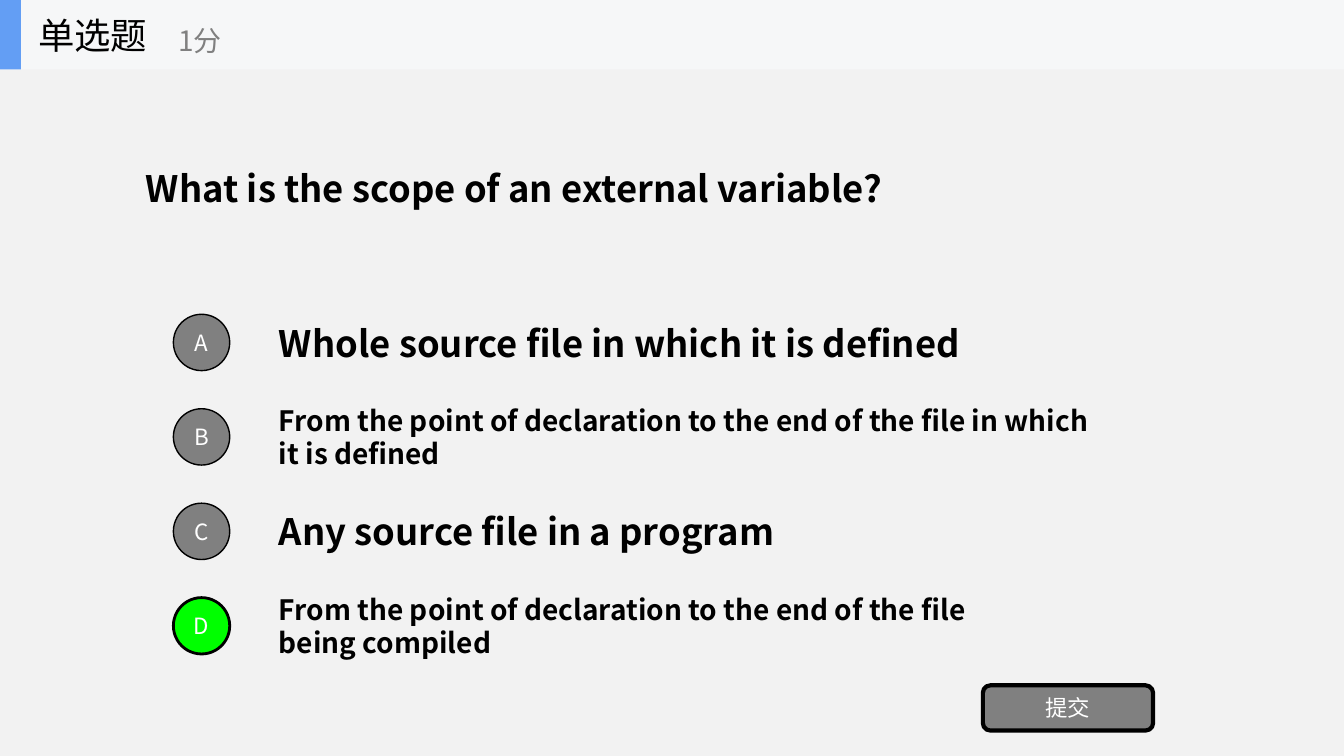
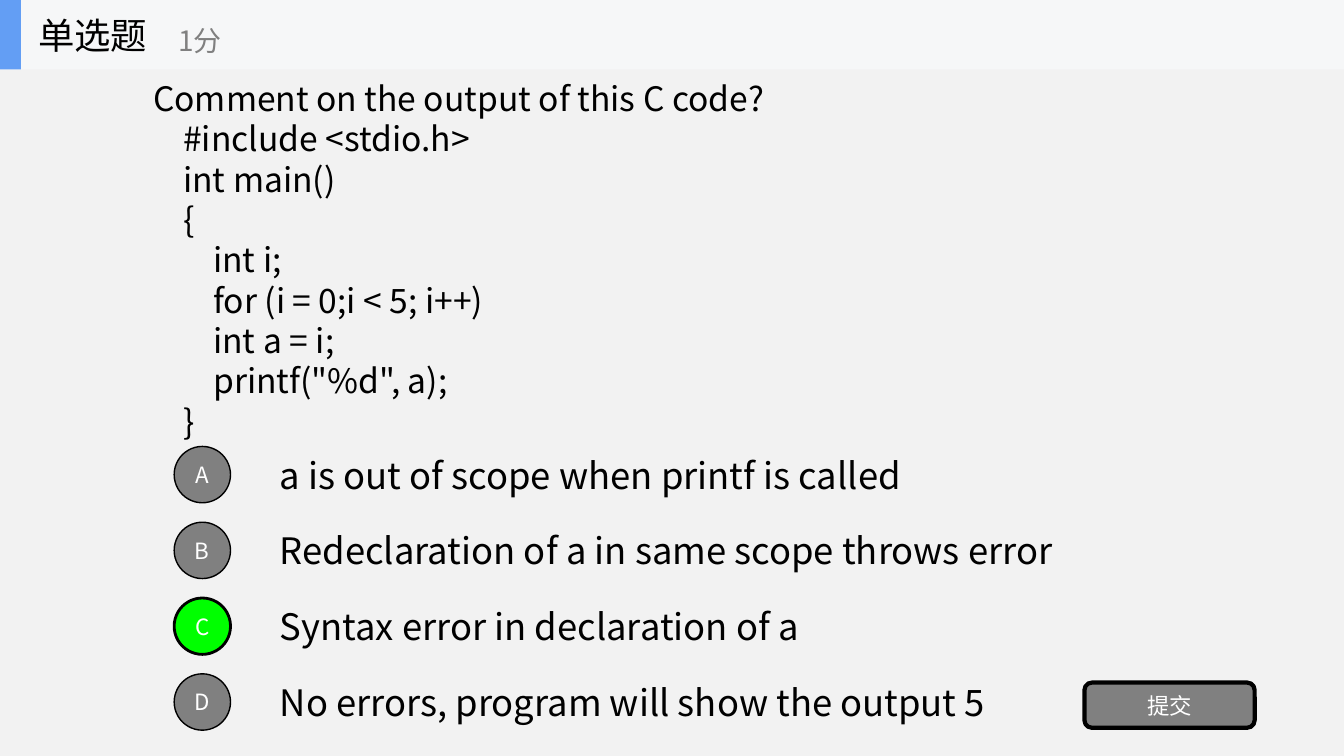
from dataclasses import dataclass

from pptx import Presentation
from pptx.dml.color import RGBColor
from pptx.enum.shapes import MSO_SHAPE
from pptx.enum.text import MSO_ANCHOR, PP_ALIGN
from pptx.oxml.ns import qn
from pptx.util import Cm, Pt


@dataclass(frozen=True)
class Theme:
    font: str = "Noto Sans CJK SC"
    page: str = "F2F2F2"
    band: str = "F6F7F8"
    accent: str = "639EF4"
    ink: str = "000000"
    muted: str = "808080"
    correct: str = "00FF00"
    on_dark: str = "FFFFFF"
    large: int = 26
    code: int = 24
    medium: int = 20
    small: int = 16


THEME = Theme()
PAGE_WIDTH, PAGE_HEIGHT = 33.87, 19.05
BADGE_SIZE = 1.42
ANSWER_OFFSET = 2.41


@dataclass(frozen=True)
class Answer:
    text: str
    width: float
    size: int = THEME.large


# Text and shape helpers; every box is (left, top, width, height) in cm
def write(shape, text, size, color=THEME.ink, bold=False, align=PP_ALIGN.LEFT):
    frame = shape.text_frame
    frame.word_wrap = True
    frame.vertical_anchor = MSO_ANCHOR.MIDDLE
    frame.text = text
    for paragraph in frame.paragraphs:
        paragraph.alignment = align
        for run in paragraph.runs:
            font = run.font
            font.name, font.size, font.bold = THEME.font, Pt(size), bold
            font.color.rgb = RGBColor.from_string(color)
            east_asian = run._r.get_or_add_rPr().makeelement(
                qn("a:ea"), {"typeface": THEME.font})
            run._r.rPr.find(qn("a:latin")).addnext(east_asian)


def add_text(shapes, box, text, size, **style):
    write(shapes.add_textbox(*map(Cm, box)), text, size, **style)


def add_filled(shapes, kind, box, fill, outline=0):
    shape = shapes.add_shape(kind, *map(Cm, box))
    shape.shadow.inherit = False
    shape.fill.solid()
    shape.fill.fore_color.rgb = RGBColor.from_string(fill)
    if outline:
        shape.line.color.rgb = RGBColor.from_string(THEME.ink)
        shape.line.width = Pt(outline)
    else:
        shape.line.fill.background()
    return shape


# Header band with question type and score
def add_header(slide, box):
    left, top, width, height = box
    header = slide.shapes.add_group_shape().shapes
    add_filled(header, MSO_SHAPE.RECTANGLE, box, THEME.band)
    add_filled(header, MSO_SHAPE.RECTANGLE, (left, top, 0.53, height), THEME.accent)
    add_text(header, (left + 0.71, top, 5.28, height), "单选题", THEME.large)
    add_text(header, (left + 4.24, top + 0.3, 6.35, height - 0.33), "1分",
             THEME.medium, color=THEME.muted)


# Lettered answers, evenly spaced from the first badge
def add_answers(slide, left, top, pitch, answers, correct, bold):
    for index, answer in enumerate(answers):
        letter = "ABCD"[index]
        is_correct = letter == correct
        badge_top = top + index * pitch
        height = 1.96 if answer.size == THEME.medium else 1.37
        answer_top = badge_top + (BADGE_SIZE - height) / 2
        add_text(slide.shapes, (left + ANSWER_OFFSET, answer_top, answer.width, height),
                 answer.text, answer.size, bold=bold)
        badge = add_filled(slide.shapes, MSO_SHAPE.OVAL,
                           (left, badge_top, BADGE_SIZE, BADGE_SIZE),
                           THEME.correct if is_correct else THEME.muted,
                           outline=2 if is_correct else 1)
        write(badge, letter, THEME.small, THEME.on_dark, align=PP_ALIGN.CENTER)


# Submit button
def add_submit(slide, left, top):
    button = add_filled(slide.shapes, MSO_SHAPE.ROUNDED_RECTANGLE,
                        (left, top, 4.29, 1.14), THEME.muted, outline=3)
    write(button, "提交", THEME.small, THEME.on_dark, align=PP_ALIGN.CENTER)


def add_question_slide(deck, question, question_box, question_size, answers,
                       answers_at, pitch, correct, submit_at, bold=False):
    slide = deck.slides.add_slide(deck.slide_layouts[6])
    add_text(slide.shapes, question_box, question, question_size, bold=bold)
    add_answers(slide, *answers_at, pitch, answers, correct, bold)
    add_submit(slide, *submit_at)
    add_header(slide, (0, 0, PAGE_WIDTH, 1.75))


CODE_QUESTION = """Comment on the output of this C code?
    #include <stdio.h>
    int main()
    {
        int i;
        for (i = 0;i < 5; i++)
        int a = i;
        printf("%d", a);
    }"""


def main():
    deck = Presentation()
    deck.slide_width, deck.slide_height = Cm(PAGE_WIDTH), Cm(PAGE_HEIGHT)
    page_fill = deck.slide_master.background.fill
    page_fill.solid()
    page_fill.fore_color.rgb = RGBColor.from_string(THEME.page)

    # Scope of an external variable
    add_question_slide(
        deck, "What is the scope of an external variable?",
        (3.43, 4.06, 24.33, 1.37), THEME.large,
        [Answer("Whole source file in which it is defined", 19.38),
         Answer("From the point of declaration to the end of the file "
                "in which it is defined", 21.11, THEME.medium),
         Answer("Any source file in a program", 16.18),
         Answer("From the point of declaration to the end of the file "
                "being compiled", 19.66, THEME.medium)],
        answers_at=(4.37, 7.92), pitch=2.38, correct="D",
        submit_at=(24.77, 17.27), bold=True)

    # Output of a C program
    add_question_slide(
        deck, CODE_QUESTION, (3.61, 1.8, 22.23, 9.47), THEME.code,
        [Answer("a is out of scope when printf is called", 16.81),
         Answer("Redeclaration of a in same scope throws error", 20.5),
         Answer("Syntax error in declaration of a", 14),
         Answer("No errors, program will show the output 5", 19.05)],
        answers_at=(4.39, 11.25), pitch=1.91, correct="C",
        submit_at=(27.33, 17.2))

    deck.save("out.pptx")


if __name__ == "__main__":
    main()
